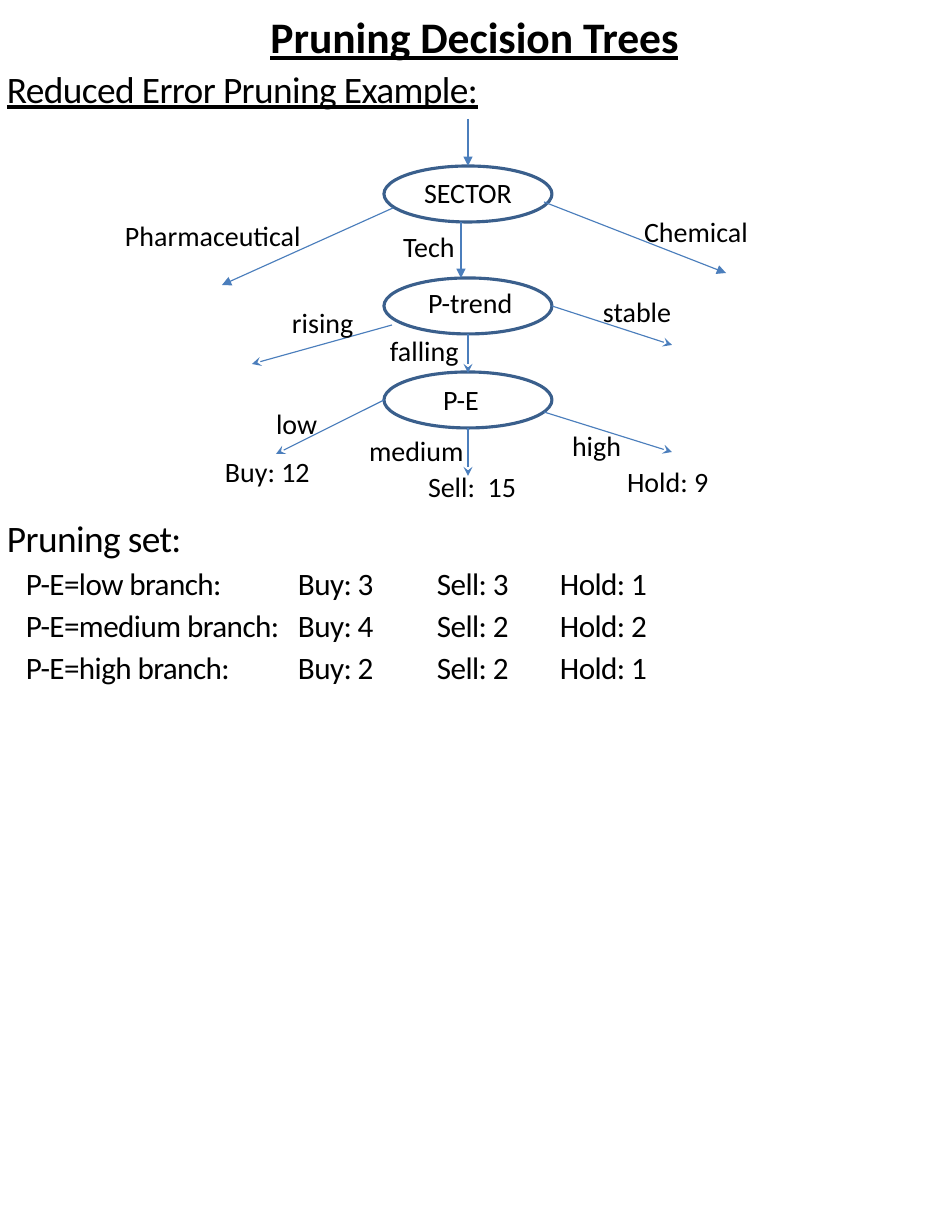
from lxml import etree
from pptx import Presentation
from pptx.dml.color import RGBColor
from pptx.enum.shapes import MSO_CONNECTOR, MSO_SHAPE
from pptx.enum.text import MSO_ANCHOR, PP_ALIGN
from pptx.oxml.ns import qn
from pptx.util import Pt

PX = 914400 // 112
STRAIGHT = MSO_CONNECTOR.STRAIGHT
OVAL = MSO_SHAPE.OVAL
TOP = MSO_ANCHOR.TOP
CENTER = PP_ALIGN.CENTER
COLORS = {"text": "000000", "node": "3A5F8C", "branch": "4B7EBC"}


def px(*values):
    return [round(value * PX) for value in values]


def write(shape, lines, size, inset=True, wrap=True, spacing=None, **font):
    frame = shape.text_frame
    frame.word_wrap = wrap
    frame.vertical_anchor = TOP
    if not inset:
        for side in ("left", "top", "right", "bottom"):
            setattr(frame, "margin_" + side, 0)
    frame.text = "\n".join(lines)
    formats = {"name": "Calibri", "size": Pt(size), **font}
    for paragraph in frame.paragraphs:
        for run in paragraph.runs:
            for name, value in formats.items():
                setattr(run.font, name, value)
            run.font.color.rgb = RGBColor.from_string(COLORS["text"])
            if spacing is not None:
                run.font._element.set("spc", str(spacing))
    return frame


presentation = Presentation()
presentation.slide_width, presentation.slide_height = px(952, 1232)
slide = presentation.slides.add_slide(presentation.slide_layouts[5])
shapes = slide.shapes

title = shapes.title
title.left, title.top, title.width, title.height = px(46, 10, 857, 53)
frame = write(title, ["Pruning Decision Trees"], 28, inset=False, bold=True, underline=True)
frame.paragraphs[0].alignment = CENTER

headings = [("Reduced Error Pruning Example:", 66, True), ("Pruning set:", 515, False)]
for text, top, underline in headings:
    heading = shapes.add_textbox(*px(7, top, 900, 46))
    write(heading, [text], 24, inset=False, spacing=-40, underline=underline)

pruning_set = [
    ("P-E=low branch:", "Buy: 3", "Sell: 3", "Hold: 1"),
    ("P-E=medium branch:", "Buy: 4", "Sell: 2", "Hold: 2"),
    ("P-E=high branch:", "Buy: 2", "Sell: 2", "Hold: 1"),
]
counts = shapes.add_textbox(*px(26, 564, 880, 126))
frame = write(counts, ["\t".join(row) for row in pruning_set], 20, inset=False, spacing=-40)
for index, paragraph in enumerate(frame.paragraphs):
    paragraph.space_before = Pt(3.2 if index else 0)
    tabs = etree.SubElement(paragraph._p.get_or_add_pPr(), qn("a:tabLst"))
    for stop in px(272, 411, 534):
        etree.SubElement(tabs, qn("a:tab"), pos=str(stop), algn="l")

for top in (166, 278, 372):
    node = shapes.add_shape(OVAL, *px(384, top, 168, 56))
    node.shadow.inherit = False
    node.fill.background()
    node.line.color.rgb = RGBColor.from_string(COLORS["node"])
    node.line.width = Pt(2)

branches = [
    (468, 119, 468, 166, "triangle"),
    (393, 208, 222, 285, "triangle"),
    (461, 222, 461, 278, "triangle"),
    (544, 202, 726, 273, "triangle"),
    (392, 325, 252, 364, "stealth"),
    (468, 334, 468, 373, "stealth"),
    (552, 306, 672, 345, "stealth"),
    (384, 400, 276, 454, "stealth"),
    (468, 428, 468, 476, "stealth"),
    (544, 412, 672, 452, "stealth"),
]
for *ends, arrowhead in branches:
    branch = shapes.add_connector(STRAIGHT, *px(*ends))
    branch.line.color.rgb = RGBColor.from_string(COLORS["branch"])
    branch.line.width = Pt(0.75)
    etree.SubElement(branch.line._get_or_add_ln(), qn("a:tailEnd"), type=arrowhead)
    etree.SubElement(branch._element.spPr, qn("a:effectLst"))

labels = [
    ("SECTOR", 413, 170, 111),
    ("Pharmaceutical", 114, 213, 200),
    ("Tech", 392, 224, 84),
    ("Chemical", 633, 209, 128),
    ("P-trend", 417, 280, 108),
    ("rising", 281, 300, 85),
    ("falling", 379, 328, 92),
    ("stable", 592, 289, 92),
    ("P-E", 432, 377, 58),
    ("low", 265, 401, 64),
    ("medium", 358, 428, 119),
    ("high", 561, 423, 73),
    ("Buy: 12", 214, 449, 109),
    ("Sell:  15", 417, 464, 112),
    ("Hold: 9", 616, 459, 105),
]
for text, left, top, width in labels:
    label = shapes.add_textbox(*px(left, top, width, 45))
    write(label, [text], 18, wrap=False)

presentation.save("out.pptx")
